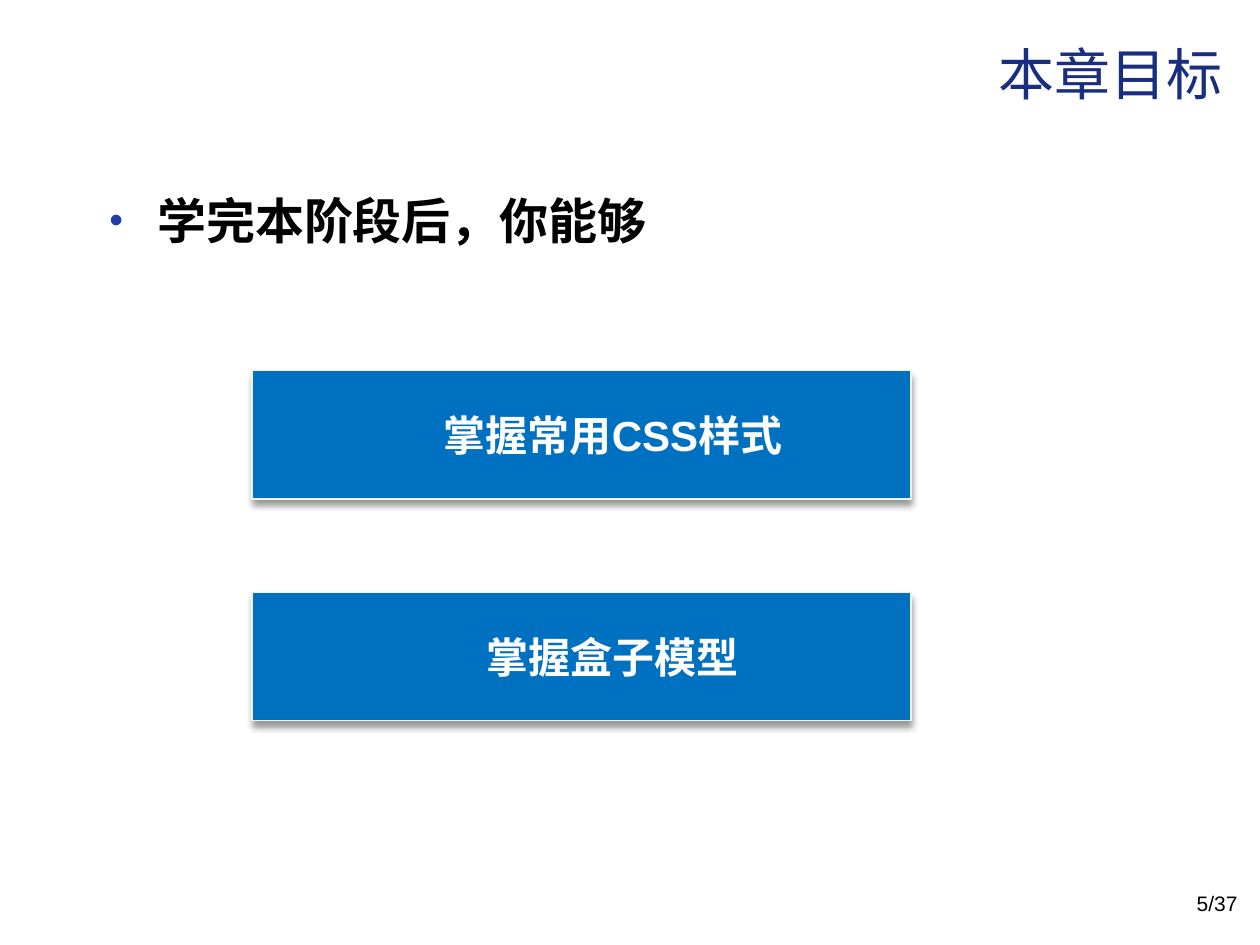
from dataclasses import dataclass

import pptx
import pptx.dml.color
import pptx.enum.shapes
import pptx.enum.text
import pptx.oxml
import pptx.oxml.ns
import pptx.util
from pptx.util import Inches

HUES = {
    "blue": "0070C0",
    "edge": "F2F2F2",
    "navy": "1A2E7F",
    "dot": "233DA9",
    "black": "000000",
    "white": "FFFFFF",
}
ALIGN = pptx.enum.text.PP_ALIGN
ANCHOR = pptx.enum.text.MSO_ANCHOR
NS = pptx.oxml.ns.nsdecls("a")


@dataclass
class Label:
    text: str
    box: tuple[float, float, float, float]
    size: int
    hue: str = "black"
    bold: bool = False
    align: ALIGN = ALIGN.RIGHT
    anchor: ANCHOR = ANCHOR.TOP
    left: float = 0
    hang: float = 0
    lead: float = 0
    dot: bool = False


def tint(name: str) -> pptx.dml.color.RGBColor:
    return pptx.dml.color.RGBColor.from_string(HUES[name])


def add_dot(props) -> None:
    for xml in (
        f'<a:buClr {NS}><a:srgbClr val="{HUES["dot"]}"/></a:buClr>',
        f'<a:buSzPct {NS} val="80000"/>',
        f'<a:buFont {NS} typeface="Arial"/>',
        f'<a:buChar {NS} char="•"/>',
    ):
        props.append(pptx.oxml.parse_xml(xml))


def write(shape, label: Label) -> None:
    frame = shape.text_frame
    frame.word_wrap = True
    frame.vertical_anchor = label.anchor
    para = frame.paragraphs[0]
    para.alignment = label.align
    para.space_before = pptx.util.Pt(label.lead)
    props = para._p.get_or_add_pPr()
    props.set("marL", str(Inches(label.left)))
    props.set("indent", str(Inches(-label.hang)))
    if label.dot:
        add_dot(props)
    run = para.add_run()
    run.text = label.text
    run.font.name = "Arial"
    run.font.size = pptx.util.Pt(label.size)
    run.font.bold = label.bold
    run.font.color.rgb = tint(label.hue)


def add_label(slide, label: Label) -> None:
    write(slide.shapes.add_textbox(*map(Inches, label.box)), label)


def add_shade(shape) -> None:
    shape.shadow.inherit = False
    effect = shape._element.spPr.find(pptx.oxml.ns.qn("a:effectLst"))
    effect.append(pptx.oxml.parse_xml(
        f'<a:outerShdw {NS} blurRad="{pptx.util.Pt(4)}" dist="{pptx.util.Pt(3)}" '
        f'dir="5400000" rotWithShape="0"><a:srgbClr val="{HUES["black"]}">'
        '<a:alpha val="40000"/></a:srgbClr></a:outerShdw>'
    ))


def add_goal(slide, label: Label) -> None:
    kind = pptx.enum.shapes.MSO_SHAPE.RECTANGLE
    shape = slide.shapes.add_shape(kind, *map(Inches, label.box))
    shape.fill.solid()
    shape.fill.fore_color.rgb = tint("blue")
    shape.line.color.rgb = tint("edge")
    shape.line.width = pptx.util.Pt(0.75)
    add_shade(shape)
    write(shape, label)


def main() -> None:
    deck = pptx.Presentation()
    deck.slide_width, deck.slide_height = Inches(10), Inches(7.5)
    slide = deck.slides.add_slide(deck.slide_layouts[6])

    labels = (
        Label("学完本阶段后，你能够", (0.77, 1.46, 8.36, 0.87), 28, bold=True,
              align=ALIGN.LEFT, left=0.38, hang=0.38, lead=5.6, dot=True),
        Label("5/37", (7.59, 7.02, 2.33, 0.4), 12),
        Label("本章目标", (0.8, 0.09, 9, 0.98), 32, "navy", anchor=ANCHOR.MIDDLE),
    )
    for label in labels:
        add_label(slide, label)

    for row, text in enumerate(("掌握常用CSS样式", "掌握盒子模型")):
        box = (2, 2.94 + row * 1.76, 5.23, 1.02)
        add_goal(slide, Label(text, box, 24, "white", True, ALIGN.CENTER,
                              ANCHOR.MIDDLE, 0.81, 0.31, 4.8))

    deck.save("out.pptx")


if __name__ == "__main__":
    main()
